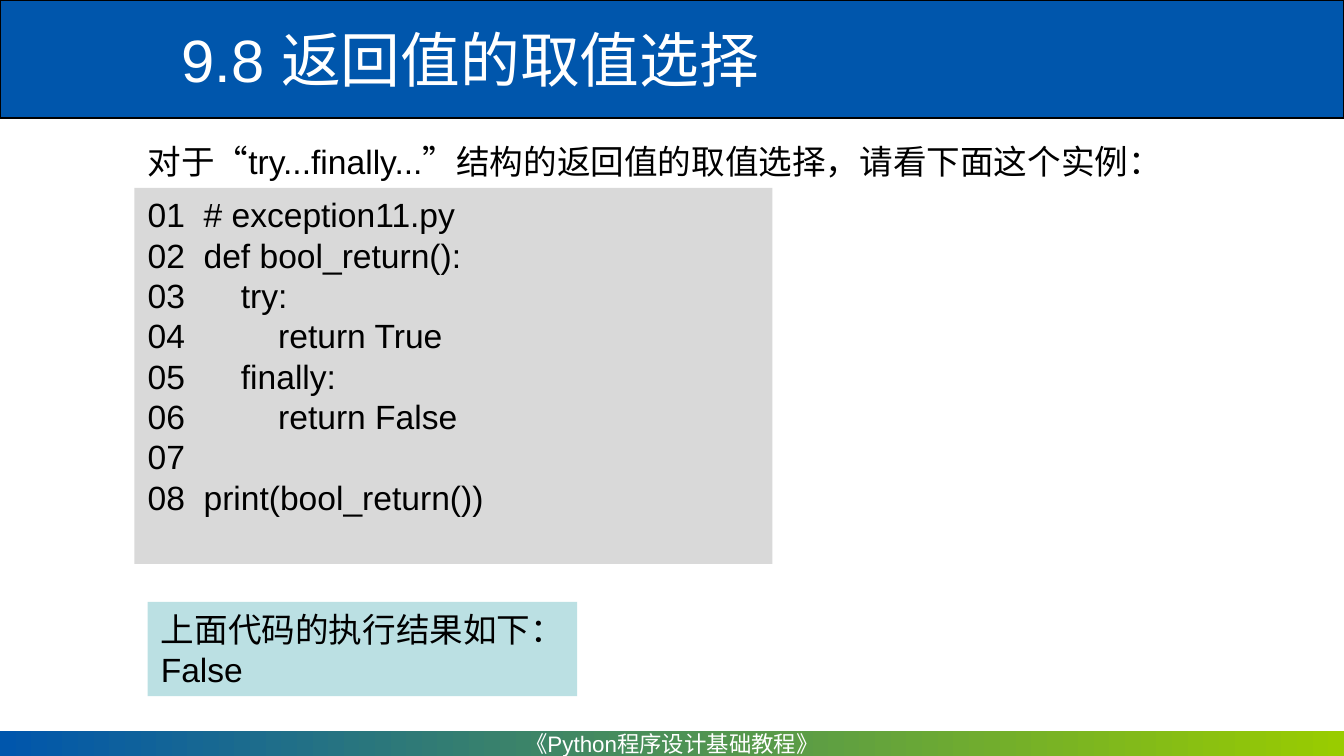
from dataclasses import dataclass
from typing import Optional

from pptx import Presentation
from pptx.dml.color import RGBColor
from pptx.enum.shapes import MSO_SHAPE
from pptx.enum.text import MSO_ANCHOR, PP_ALIGN
from pptx.util import Cm, Pt

COLORS = {
    "blue": "0056AC",
    "green": "99CC00",
    "gray": "D9D9D9",
    "teal": "BBE0E3",
    "black": "000000",
    "white": "FFFFFF",
}
FONT = "Arial"


@dataclass
class Box:
    """A rectangle with optional text; lengths in centimetres."""
    left: float
    top: float
    width: float
    height: float
    lines: tuple[str, ...] = ()
    fill: Optional[str] = None
    fill_end: Optional[str] = None
    line: Optional[str] = None
    size: int = 18
    color: str = "black"
    align: PP_ALIGN = PP_ALIGN.LEFT
    anchor: MSO_ANCHOR = MSO_ANCHOR.TOP
    wrap: bool = True


def rgb(name: str) -> RGBColor:
    return RGBColor.from_string(COLORS[name])


def paint(sp, box: Box) -> None:
    """Apply the fill and outline of a rectangle."""
    sp.shadow.inherit = False
    if box.fill_end:
        sp.fill.gradient()
        sp.fill.gradient_angle = 0
        for stop, name in zip(sp.fill.gradient_stops, (box.fill, box.fill_end)):
            stop.color.rgb = rgb(name)
    else:
        sp.fill.solid()
        sp.fill.fore_color.rgb = rgb(box.fill)
    if box.line:
        sp.line.color.rgb = rgb(box.line)
        sp.line.width = Pt(0.75)
    else:
        sp.line.fill.background()


def add_box(s, box: Box) -> None:
    place = [Cm(v) for v in (box.left, box.top, box.width, box.height)]
    if box.fill:
        sp = s.shapes.add_shape(MSO_SHAPE.RECTANGLE, *place)
        paint(sp, box)
    else:
        sp = s.shapes.add_textbox(*place)
    if not box.lines:
        return
    tf = sp.text_frame
    tf.word_wrap = box.wrap
    tf.vertical_anchor = box.anchor
    tf.text = "\n".join(box.lines)
    for p in tf.paragraphs:
        p.alignment = box.align
        p.font.name = FONT
        p.font.size = Pt(box.size)
        p.font.color.rgb = rgb(box.color)


CODE = (
    "# exception11.py",
    "def bool_return():",
    "    try:",
    "        return True",
    "    finally:",
    "        return False",
    "",
    "print(bool_return())",
)
NUMBERED_CODE = tuple(f"{n:02}  {code}".rstrip() for n, code in enumerate(CODE, 1))

BOXES = (
    # Header band and title
    Box(0, 0, 25.4, 2.23, fill="blue", line="black"),
    Box(3.18, 0.16, 22.22, 1.9, ("9.8 返回值的取值选择",), size=32,
        color="white", anchor=MSO_ANCHOR.MIDDLE),
    # Footer band
    Box(0, 13.81, 25.4, 0.48, ("《Python程序设计基础教程》",), fill="blue",
        fill_end="green", size=12, color="white", align=PP_ALIGN.CENTER,
        anchor=MSO_ANCHOR.MIDDLE, wrap=False),
    # Introduction, code listing and its result
    Box(2.54, 2.54, 20.32, 1.02,
        ("对于“try...finally...”结构的返回值的取值选择，请看下面这个实例：",)),
    Box(2.54, 3.55, 12.06, 7.11, NUMBERED_CODE, fill="gray"),
    Box(2.79, 11.38, 8.12, 1.78, ("上面代码的执行结果如下：", "False"),
        fill="teal", wrap=False),
)


def main() -> None:
    prs = Presentation()
    prs.slide_width, prs.slide_height = Cm(25.4), Cm(14.29)
    s = prs.slides.add_slide(prs.slide_layouts[6])
    for box in BOXES:
        add_box(s, box)
    prs.save("out.pptx")


if __name__ == "__main__":
    main()
